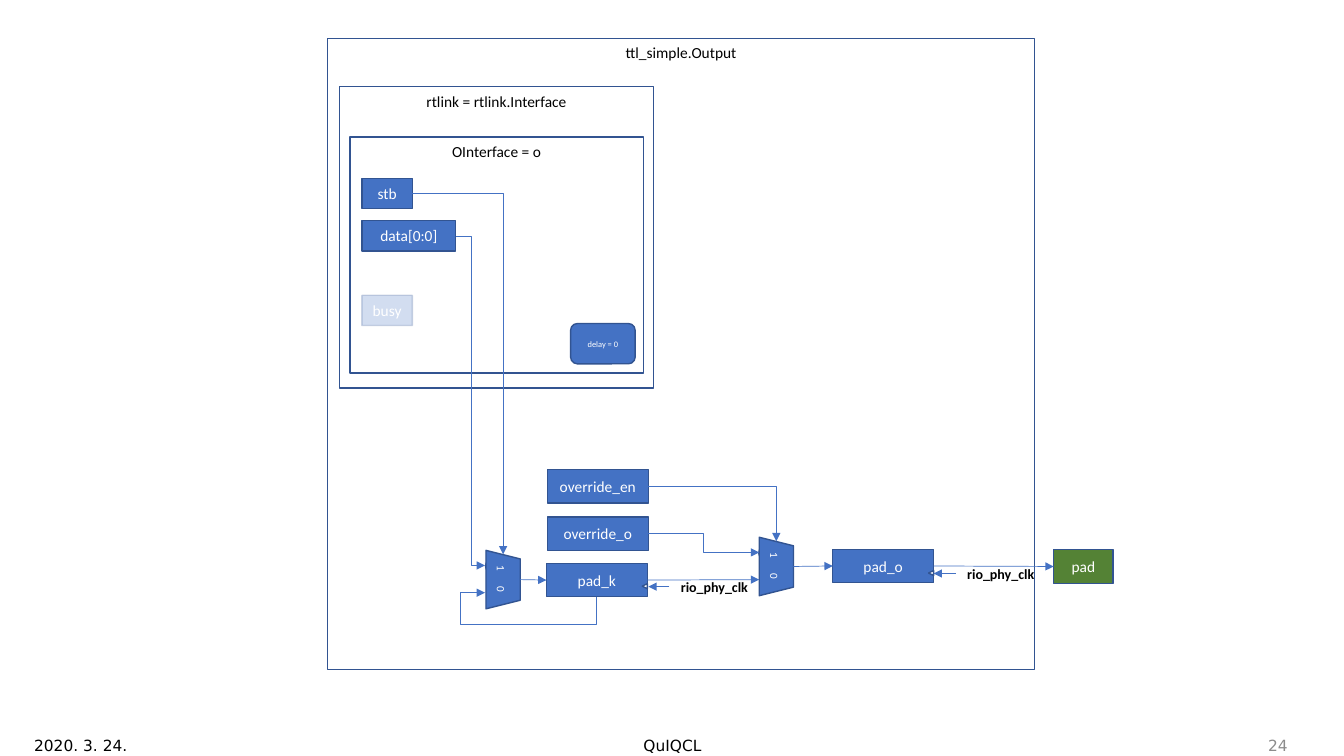
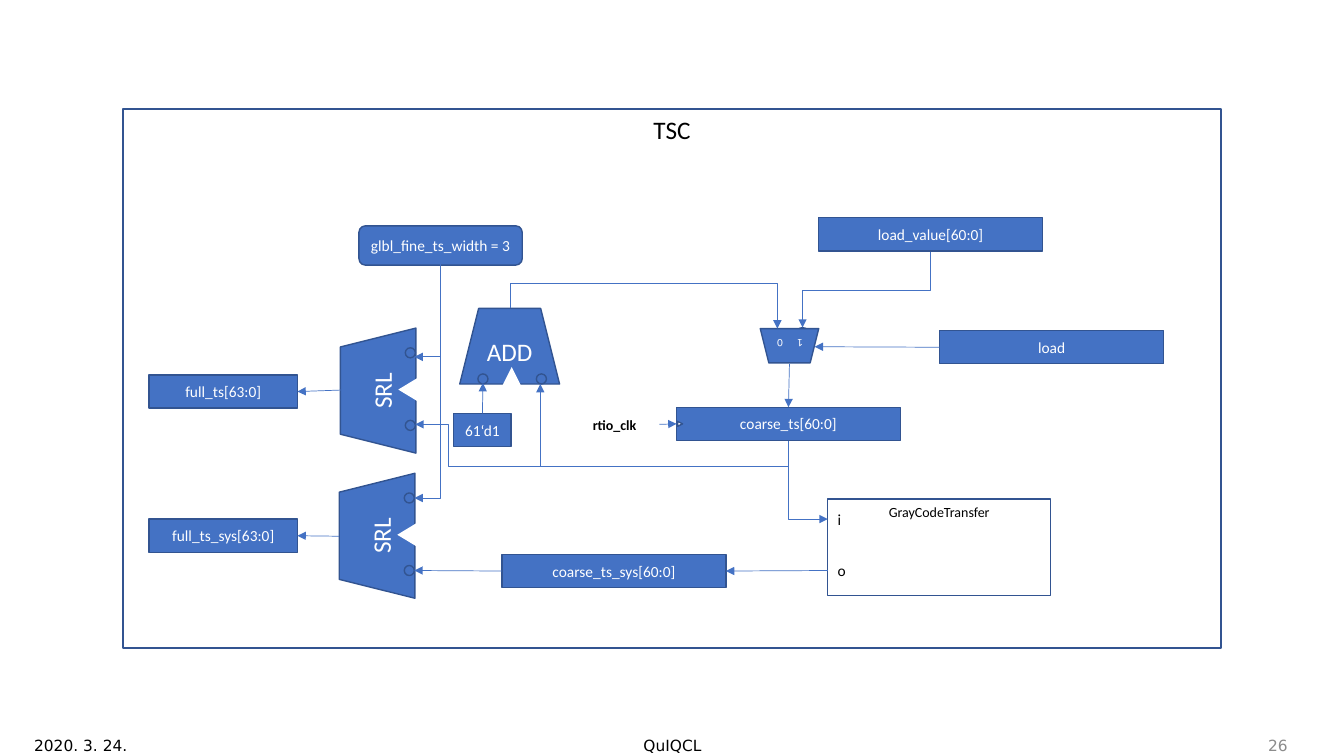
"""Draws two block diagrams of a timing output and a timestamp counter."""
from dataclasses import dataclass, replace
from typing import Optional

from lxml.etree import SubElement
from pptx import Presentation
from pptx.dml.color import RGBColor
from pptx.enum.shapes import MSO_CONNECTOR, MSO_SHAPE
from pptx.enum.text import MSO_ANCHOR, PP_ALIGN
from pptx.oxml.ns import qn
from pptx.util import Inches, Pt

CELL = 0.1
COLUMNS, ROWS = 133.3, 75
BLUE, EDGE, GREEN = "4472C4", "325491", "548235"
WHITE, BLACK, GREY = "FFFFFF", "000000", "8C8C8C"
TOP, LEFT, BOTTOM, RIGHT = range(4)
BOX, ROUND = MSO_SHAPE.RECTANGLE, MSO_SHAPE.ROUNDED_RECTANGLE
TRAPEZOID, TRIANGLE, OVAL = MSO_SHAPE.TRAPEZOID, MSO_SHAPE.ISOSCELES_TRIANGLE, MSO_SHAPE.OVAL

Point = tuple[float, float]
Joint = Optional[tuple[str, int]]


@dataclass(frozen=True)
class Look:
    fill: str = ""
    edge: str = ""
    ink: str = WHITE
    size: float = 11
    align: PP_ALIGN = PP_ALIGN.CENTER
    anchor: MSO_ANCHOR = MSO_ANCHOR.MIDDLE
    font: str = "Calibri"
    bold: bool = False
    opacity: int = 100
    tab: float = 0


@dataclass(frozen=True)
class Part:
    kind: Optional[MSO_SHAPE]
    col: float
    row: float
    cols: float
    rows: float
    look: Look
    label: str = ""
    turn: int = 0


@dataclass(frozen=True)
class Wire:
    points: tuple[Point, ...]
    begin: Joint = None
    end: Joint = None


CHIP = Look(BLUE, EDGE)
FADED = replace(CHIP, opacity=24)
FRAME = Look(edge=EDGE, ink=BLACK, anchor=MSO_ANCHOR.TOP)
SELECTOR = replace(CHIP, size=8, align=PP_ALIGN.LEFT, tab=2)
ARITHMETIC = replace(CHIP, size=18)
NOTCH = Look(fill=WHITE)
CLOCK_MARK = Look(WHITE, EDGE)
CLOCK_NAME = Look(ink=BLACK, size=10, bold=True, anchor=MSO_ANCHOR.TOP)
PORT = Look(ink=BLACK, align=PP_ALIGN.LEFT, anchor=MSO_ANCHOR.TOP)
FOOTER = Look(ink=BLACK, font="DejaVu Sans")


def color(code: str) -> RGBColor:
    """Turn a hex string into a colour."""
    return RGBColor.from_string(code)


def grid(cells: float) -> int:
    """Turn grid cells into a length."""
    return Inches(cells * CELL)


def write_label(shape, part: Part) -> None:
    """Write and format the label of a part."""
    look, frame = part.look, shape.text_frame
    frame.word_wrap = True
    frame.vertical_anchor = look.anchor
    frame.margin_left = frame.margin_right = grid(0.5 if look.align == PP_ALIGN.CENTER else 1)
    frame.margin_top = frame.margin_bottom = grid(0.5)
    frame.text = part.label
    paragraph = frame.paragraphs[0]
    paragraph.alignment = look.align
    if look.tab:
        stops = SubElement(paragraph._p.get_or_add_pPr(), qn("a:tabLst"))
        SubElement(stops, qn("a:tab"), pos=str(grid(look.tab)), algn="l")
    for run in paragraph.runs:
        run.font.name, run.font.size, run.font.bold = look.font, Pt(look.size), look.bold
        run.font.color.rgb = color(look.ink)


def draw_part(slide, part: Part):
    """Draw one part and return its shape."""
    place = [grid(cells) for cells in (part.col, part.row, part.cols, part.rows)]
    if part.kind is None:
        shape = slide.shapes.add_textbox(*place)
    else:
        shape = slide.shapes.add_shape(part.kind, *place)
        shape.shadow.inherit = False
        shape.rotation = part.turn
        if part.look.fill:
            shape.fill.solid()
            shape.fill.fore_color.rgb = color(part.look.fill)
        else:
            shape.fill.background()
        if part.look.edge:
            shape.line.color.rgb = color(part.look.edge)
            shape.line.width = Pt(1)
        else:
            shape.line.fill.background()
        if part.look.opacity < 100:
            for tone in shape._element.spPr.iter(qn("a:srgbClr")):
                SubElement(tone, qn("a:alpha"), val=str(part.look.opacity * 1000))
    if part.label:
        write_label(shape, part)
    return shape


def bend(connector, points: tuple[Point, ...], axis: int, turn: int) -> None:
    """Give a connector its elbows at the inner points."""
    properties = connector._element.spPr
    if axis:
        properties.find(qn("a:xfrm")).set("rot", str((turn * 90 % 360) * 60000))
    geometry = properties.find(qn("a:prstGeom"))
    segments = len(points) - 1
    geometry.set("prst", f"bentConnector{segments}")
    guides = geometry.find(qn("a:avLst"))
    if guides is None:
        guides = SubElement(geometry, qn("a:avLst"))
    for index in range(1, segments - 1):
        side = (axis + index - 1) % 2
        start, stop = points[0][side], points[-1][side]
        share = (points[index][side] - start) / (stop - start)
        SubElement(guides, qn("a:gd"), name=f"adj{index}", fmla=f"val {round(share * 100000)}")


def draw_wire(slide, wire: Wire, shapes: dict) -> None:
    """Draw one arrow, straight or with elbows."""
    points = wire.points
    (x1, y1), (x2, y2) = points[0], points[-1]
    bent = len(points) > 2
    axis = int(bent and points[0][0] == points[1][0])
    turn = 1 if x2 < x1 else -1
    if axis:
        across, down = turn * (y2 - y1), turn * (x1 - x2)
        middle_x, middle_y = (x1 + x2) / 2, (y1 + y2) / 2
        x1, x2 = middle_x - across / 2, middle_x + across / 2
        y1, y2 = middle_y - down / 2, middle_y + down / 2
    connector = slide.shapes.add_connector(
        MSO_CONNECTOR.ELBOW if bent else MSO_CONNECTOR.STRAIGHT,
        grid(x1), grid(y1), grid(x2), grid(y2))
    if bent:
        bend(connector, points, axis, turn)
    if wire.begin:
        connector.begin_connect(shapes[wire.begin[0]], wire.begin[1])
    if wire.end:
        connector.end_connect(shapes[wire.end[0]], wire.end[1])
    connector.line.color.rgb = color(BLUE)
    connector.line.width = Pt(0.5)
    properties = connector._element.spPr
    SubElement(properties.find(qn("a:ln")), qn("a:tailEnd"), type="triangle")
    SubElement(properties, qn("a:effectLst"))


def chip(label: str, col: float, row: float, cols: float, rows: float = 3.3) -> Part:
    """Describe a filled register box."""
    return Part(BOX, col, row, cols, rows, CHIP, label)


def mux(col: float, row: float, turn: int, pins: tuple[Point, ...]) -> list[Part]:
    """Describe a two-way selector with its input pins."""
    inputs = [Part(OVAL, col + x, row + y, 1.2, 1.1, CHIP, turn=turn) for x, y in pins]
    return [*inputs, Part(TRAPEZOID, col, row, 5.8, 3.4, SELECTOR, "1\t0", turn)]


def operator(label: str, col: float, row: float, cols: float, turn: int,
             notch: tuple[float, float, float], pins: tuple[Point, ...]) -> list[Part]:
    """Describe a notched arithmetic block with its input pins."""
    x, y, width = notch
    return [Part(TRAPEZOID, col, row, cols, 7.5, ARITHMETIC, label, turn),
            Part(TRIANGLE, col + x, row + y, width, 1.9, NOTCH, turn=turn),
            *(Part(OVAL, col + px, row + py, 1, 1, CHIP, turn=turn) for px, py in pins)]


def clock(label: str, mark_col: float, row: float, turn: int, name_col: float) -> list[Part]:
    """Describe a clock input mark and its name."""
    return [Part(TRIANGLE, mark_col, row - 0.3, 0.5, 0.5, CLOCK_MARK, turn=turn),
            Part(None, name_col, row - 1.3, 8.9, 2.7, CLOCK_NAME, label)]


def footer(page: str) -> list[Part]:
    """Describe the date, group and page number."""
    return [Part(None, 2.4, 71.9, 30, 4, replace(FOOTER, align=PP_ALIGN.LEFT), "2020. 3. 24."),
            Part(None, 44.2, 71.9, 45, 4, FOOTER, "QuIQCL"),
            Part(None, 98.7, 71.9, 30, 4,
                 replace(FOOTER, ink=GREY, align=PP_ALIGN.RIGHT), page)]


def draw_slide(deck, page: str, parts: list[Part], wires: list[Wire]) -> None:
    """Draw a diagram slide with its footer."""
    slide = deck.slides.add_slide(deck.slide_layouts[6])
    shapes = {part.label: draw_part(slide, part) for part in [*footer(page), *parts]}
    for wire in wires:
        draw_wire(slide, wire, shapes)


SIDE_PINS = ((1.1, -0.2), (1.2, 2.4))
SHIFT_PINS = ((8.9, -0.5), (8.9, 6.7))
SHIFT_NOTCH = (8, 2.7, 2.3)

OUTPUT_PARTS = [
    Part(BOX, 32.5, 3.8, 70.1, 62.6, FRAME, "ttl_simple.Output"),
    Part(BOX, 33.7, 8.6, 31.1, 29.9, FRAME, "rtlink = rtlink.Interface"),
    Part(BOX, 34.7, 13.6, 29.1, 23.4, FRAME, "OInterface = o"),
    chip("stb", 35.9, 17.7, 5, 3),
    chip("data[0:0]", 35.9, 21.9, 9.3, 3),
    Part(BOX, 35.9, 29.3, 5, 3, FADED, "busy"),
    Part(ROUND, 56.6, 32.1, 6.4, 4, replace(CHIP, size=6), "delay = 0"),
    chip("override_en", 54.3, 46.6, 10),
    chip("override_o", 54.3, 51.3, 10),
    chip("pad_k", 54.2, 55.9, 10),
    chip("pad_o", 82.6, 54.5, 10),
    Part(BOX, 104.5, 54.5, 5.9, 3.4, replace(CHIP, fill=GREEN), "pad"),
    *mux(47, 55.8, 90, SIDE_PINS),
    *mux(74.1, 54.5, 90, SIDE_PINS),
    *clock("rio_phy_clk", 63.7, 58.2, 270, 66.4),
    *clock("rio_phy_clk", 92.1, 56.9, 270, 94.8),
]
OUTPUT_WIRES = [
    Wire(((40.9, 19.2), (49.9, 19.2), (49.9, 55))),
    Wire(((45.2, 23.5), (46.7, 23.5), (46.7, 56.1), (48.1, 56.1))),
    Wire(((59.2, 59.2), (59.2, 61.9), (45.7, 61.9), (45.7, 58.8), (48.1, 58.8))),
    Wire(((64.3, 48.3), (77, 48.3), (77, 53.7))),
    Wire(((64.3, 52.9), (69.8, 52.9), (69.8, 54.8), (75.3, 54.8))),
    Wire(((51.6, 57.5), (54.2, 57.5)), end=("pad_k", LEFT)),
    Wire(((64.2, 57.5), (75.3, 57.5)), begin=("pad_k", RIGHT)),
    Wire(((78.7, 56.2), (82.6, 56.2)), end=("pad_o", LEFT)),
    Wire(((92.6, 56.2), (104.5, 56.2)), ("pad_o", RIGHT), ("pad", LEFT)),
    Wire(((66.4, 58.2), (64.3, 58.2))),
    Wire(((94.8, 56.9), (92.6, 56.9))),
]

COUNTER_PARTS = [
    Part(BOX, 12.2, 10.8, 108.9, 53.5, replace(FRAME, size=18), "TSC"),
    Part(ROUND, 35.6, 22.4, 16.2, 3.9, CHIP, "glbl_fine_ts_width = 3"),
    chip("full_ts[63:0]", 14.8, 37.2, 14.7),
    chip("full_ts_sys[63:0]", 14.8, 51.5, 14.7),
    chip("coarse_ts[60:0]", 67.1, 40.4, 22.2),
    chip("coarse_ts_sys[60:0]", 49.8, 55, 22.2),
    chip("load", 93.2, 32.8, 22.2),
    chip("load_value[60:0]", 81.2, 21.6, 22.2),
    chip("61‘d1", 45, 41, 5.7),
    Part(BOX, 82.1, 49.5, 22.1, 9.6, replace(FRAME, size=10), "GrayCodeTransfer"),
    Part(None, 82.1, 50.1, 4.2, 2.9, PORT, "i"),
    Part(None, 82.1, 55.2, 4.2, 2.9, PORT, "o"),
    *clock("rtio_clk", 67.2, 42.1, 90, 56.5),
    *mux(75.4, 32.6, 180, ((3.6, -0.1), (1.1, 0))),
    *operator("ADD", 45.6, 30.6, 9.9, 0, (4.2, 5.8, 1.9), ((7.6, 6.5), (1.8, 6.5))),
    *operator("SRL", 31.3, 35, 12.4, 270, SHIFT_NOTCH, SHIFT_PINS),
    *operator("SRL", 31.2, 49.4, 12.4, 270, SHIFT_NOTCH, SHIFT_PINS),
]
COUNTER_WIRES = [
    Wire(((50.6, 30.6), (50.6, 28.1), (77.1, 28.1), (77.1, 32.6))),
    Wire(((92.3, 25), (92.3, 28.8), (79.6, 28.8), (79.6, 32.5))),
    Wire(((78.2, 43.8), (78.2, 46.3), (53.6, 46.3), (53.6, 38.1))),
    Wire(((78.2, 43.8), (78.2, 46.3), (44.5, 46.3), (44.5, 42.1), (41.2, 42.1))),
    Wire(((78.2, 43.8), (78.2, 51.5), (82.1, 51.5))),
    Wire(((43.7, 26.2), (43.7, 35.4), (41.1, 35.4))),
    Wire(((43.7, 26.2), (43.7, 49.4), (41.1, 49.4))),
    Wire(((65.4, 42.1), (67.1, 42.1)), end=("coarse_ts[60:0]", LEFT)),
    Wire(((78.3, 36.1), (78.2, 40.4)), end=("coarse_ts[60:0]", TOP)),
    Wire(((47.8, 41), (47.9, 38)), begin=("61‘d1", TOP)),
    Wire(((93.2, 34.4), (80.8, 34.4)), begin=("load", LEFT)),
    Wire(((82.1, 56.6), (72, 56.6)), end=("coarse_ts_sys[60:0]", RIGHT)),
    Wire(((49.8, 56.6), (41.1, 56.6)), begin=("coarse_ts_sys[60:0]", LEFT)),
    Wire(((33.8, 38.7), (29.5, 38.8)), end=("full_ts[63:0]", RIGHT)),
    Wire(((33.6, 53.2), (29.5, 53.2)), end=("full_ts_sys[63:0]", RIGHT)),
]


def main() -> None:
    """Build both slides and save them."""
    deck = Presentation()
    deck.slide_width, deck.slide_height = grid(COLUMNS), grid(ROWS)
    draw_slide(deck, "24", OUTPUT_PARTS, OUTPUT_WIRES)
    draw_slide(deck, "26", COUNTER_PARTS, COUNTER_WIRES)
    deck.save("out.pptx")


if __name__ == "__main__":
    main()
